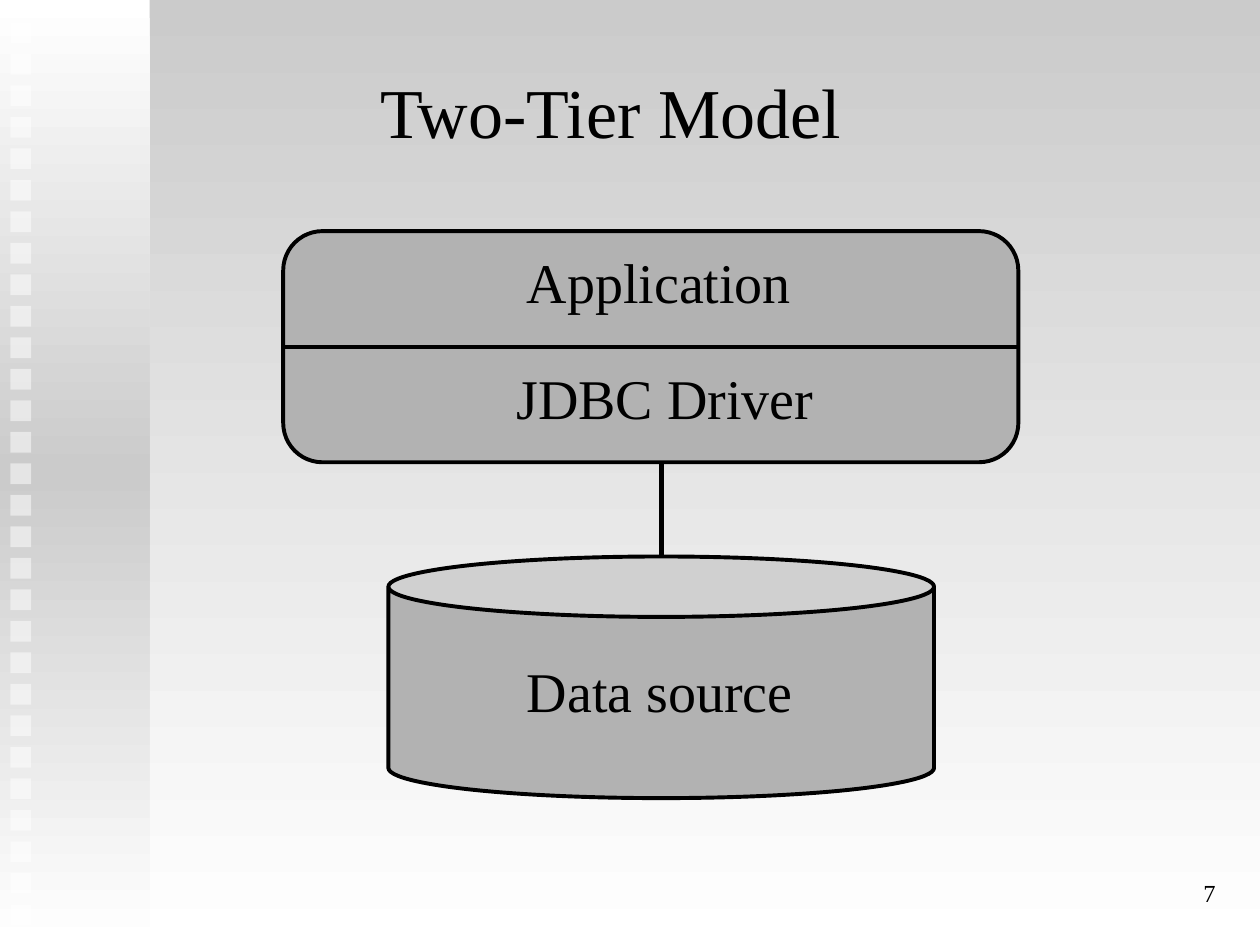
"""Build the Two-Tier Model slide with its tier box, data source and connector."""
from copy import deepcopy

from lxml import etree
from pptx import Presentation
from pptx import util as u
from pptx.dml.color import RGBColor
from pptx.enum import shapes, text
from pptx.oxml.ns import qn

BLACK = RGBColor(0x00, 0x00, 0x00)
WHITE = RGBColor(0xFF, 0xFF, 0xFF)
SILVER = RGBColor(0xCB, 0xCB, 0xCB)
GREY = RGBColor(0xB2, 0xB2, 0xB2)
FONT = "Times New Roman"
WIDTH, HEIGHT = 25.4, 19.05

TITLE = ("Two-Tier Model", (7.41, 0.64, 14.6, 3.18))
PAGE = ("7", (19.47, 17.36, 5.29, 1.27))
LABELS = [
    ("Application", 10.37, 4.87),
    ("JDBC Driver", 10.16, 7.2),
    ("Data source", 10.37, 13.12),
]
LABEL_SIZE = (9.1, 1.63)
TIERS = (5.71, 4.66, 14.82, 4.66)
SOURCE = (7.83, 11.22, 11, 4.87)
LINK_X = 13.34
PANEL_WIDTH = 3.02
SQUARE_COUNT, SQUARE_LEFT, SQUARE_TOP, SQUARE_SIZE = 29, 0.21, 0.45, 0.42
SQUARE_STEP = HEIGHT / 30


def cm(box):
    return [u.Cm(v) for v in box]


def set_gradient(fill, colors):
    fill.gradient()
    fill.gradient_angle = 270
    stops = fill.gradient_stops
    stop_list = stops[0]._element if hasattr(stops[0], "_element") else stops[0]._gs
    parent = stop_list.getparent()
    for _ in colors[2:]:
        parent.append(deepcopy(parent[-1]))
    for i, (stop, color) in enumerate(zip(fill.gradient_stops, colors)):
        stop.color.rgb = color
        stop.position = i / (len(colors) - 1)


def add_shape(slide, kind, box, fill=None, line=None):
    sp = slide.shapes.add_shape(kind, *cm(box))
    sp.shadow.inherit = False
    if fill is not None:
        sp.fill.solid()
        sp.fill.fore_color.rgb = fill
    if line:
        sp.line.color.rgb = BLACK
        sp.line.width = u.Pt(line)
    else:
        sp.line.fill.background()
    return sp


def add_line(slide, start, end, width):
    line = slide.shapes.add_connector(shapes.MSO_CONNECTOR.STRAIGHT, *cm(start + end))
    line.line.color.rgb = BLACK
    line.line.width = u.Pt(width)
    etree.SubElement(line._element.spPr, qn("a:effectLst"))
    return line


def write(sp, words, size, align=text.PP_ALIGN.LEFT,
          anchor=text.MSO_ANCHOR.MIDDLE, before=0):
    tf = sp.text_frame
    tf.word_wrap = True
    tf.auto_size = text.MSO_AUTO_SIZE.NONE
    tf.vertical_anchor = anchor
    p = tf.paragraphs[0]
    p.alignment = align
    p.space_before = u.Pt(before)
    r = p.add_run()
    r.text = words
    r.font.name = FONT
    r.font.size = u.Pt(size)
    r.font.color.rgb = BLACK


def add_side_panel(slide):
    rect = shapes.MSO_SHAPE.RECTANGLE
    panel = add_shape(slide, rect, (0, 0, PANEL_WIDTH, HEIGHT))
    set_gradient(panel.fill, [WHITE, SILVER, WHITE])
    for i in range(SQUARE_COUNT):
        top = SQUARE_TOP + i * SQUARE_STEP
        square = add_shape(slide, rect, (SQUARE_LEFT, top, SQUARE_SIZE, SQUARE_SIZE), WHITE)
        color = square._element.spPr.find(qn("a:solidFill"))[0]
        etree.SubElement(color, qn("a:alpha"), val="50000")


def add_diagram(slide):
    left, top, width, height = TIERS
    tiers = add_shape(slide, shapes.MSO_SHAPE.ROUNDED_RECTANGLE, TIERS, GREY, 2.25)
    tiers.adjustments[0] = 0.17
    add_shape(slide, shapes.MSO_SHAPE.CAN, SOURCE, GREY, 2.25).adjustments[0] = 0.25

    middle = top + height / 2
    divider = add_line(slide, (left, middle), (left + width, middle), 2.25)
    divider.begin_connect(tiers, 1)
    divider.end_connect(tiers, 3)
    add_line(slide, (LINK_X, top + height), (LINK_X, SOURCE[1]), 3)

    for words, x, y in LABELS:
        box = slide.shapes.add_textbox(*cm((x, y) + LABEL_SIZE))
        write(box, words, 32, anchor=text.MSO_ANCHOR.TOP, before=3.6)


def main():
    prs = Presentation()
    prs.slide_width, prs.slide_height = cm((WIDTH, HEIGHT))
    slide = prs.slides.add_slide(prs.slide_layouts[5])
    set_gradient(slide.background.fill, [SILVER, WHITE])
    add_side_panel(slide)

    words, box = TITLE
    title = slide.shapes.title
    title.left, title.top, title.width, title.height = cm(box)
    write(title, words, 40)

    words, box = PAGE
    write(slide.shapes.add_textbox(*cm(box)), words, 14, text.PP_ALIGN.RIGHT)
    add_diagram(slide)
    prs.save("out.pptx")


if __name__ == "__main__":
    main()
